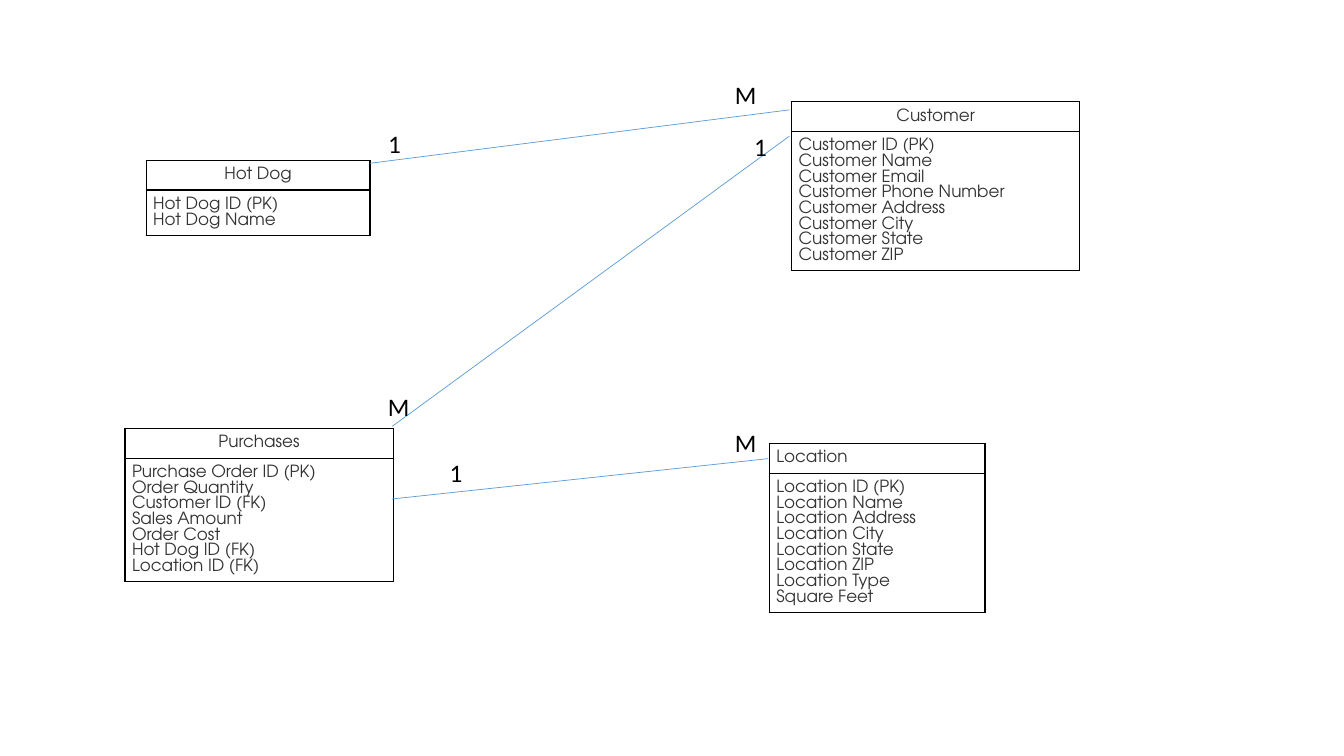
from lxml import etree
from pptx import Presentation
from pptx.dml.color import RGBColor
from pptx.enum.shapes import MSO_CONNECTOR
from pptx.enum.text import MSO_AUTO_SIZE, PP_ALIGN
from pptx.oxml.ns import qn
from pptx.util import Inches, Pt

LINE = MSO_CONNECTOR.STRAIGHT
LEFT, CENTER = PP_ALIGN.LEFT, PP_ALIGN.CENTER
FIT = MSO_AUTO_SIZE.SHAPE_TO_FIT_TEXT
COLORS = {"text": "333333", "mark": "000000", "edge": "000000", "link": "5B9BD5"}
PAD, PITCH = 0.07, 0.155

ENTITIES = [
    (1.45, 1.59, 2.22, "Hot Dog", CENTER, ["Hot Dog ID (PK)", "Hot Dog Name"]),
    (7.85, 1.01, 2.86, "Customer", CENTER, [
        "Customer ID (PK)", "Customer Name", "Customer Email",
        "Customer Phone Number", "Customer Address", "Customer City",
        "Customer State", "Customer ZIP"]),
    (1.24, 4.25, 2.66, "Purchases", CENTER, [
        "Purchase Order ID (PK)", "Order Quantity", "Customer ID (FK)",
        "Sales Amount", "Order Cost", "Hot Dog ID (FK)", "Location ID (FK)"]),
    (7.63, 4.4, 2.14, "Location", LEFT, [
        "Location ID (PK)", "Location Name", "Location Address",
        "Location City", "Location State", "Location ZIP", "Location Type",
        "Square Feet"]),
]
LINKS = [
    (3.67, 1.62, 7.83, 1.09),
    (7.62, 4.55, 3.89, 4.95),
    (3.89, 4.23, 7.83, 1.35),
]
MARKS = [
    (3.75, 1.22, "1"), (7.19, 0.74, "M"), (7.38, 1.25, "1"),
    (3.75, 3.83, "M"), (7.19, 4.19, "M"), (4.36, 4.49, "1"),
]


class Diagram:
    def __init__(self, slide):
        self.slide = slide

    def style(self, par, font, size, color):
        for run in par.runs:
            run.font.name = font
            run.font.size = Pt(size)
            run.font.bold = False
            run.font.color.rgb = RGBColor.from_string(COLORS[color])

    def border(self, cell):
        props = cell._tc.get_or_add_tcPr()
        for spot, side in enumerate(("lnL", "lnR", "lnT", "lnB")):
            line = etree.Element(qn(f"a:{side}"), w=str(Pt(1)))
            fill = etree.SubElement(line, qn("a:solidFill"))
            etree.SubElement(fill, qn("a:srgbClr"), val=COLORS["edge"])
            props.insert(spot, line)

    def entity(self, left, top, width, name, align, fields):
        rows = [([name], align), (fields, LEFT)]
        sizes = [len(lines) * PITCH + 2 * PAD for lines, _ in rows]
        table = self.slide.shapes.add_table(
            2, 1, Inches(left), Inches(top), Inches(width), Inches(sum(sizes))).table
        table.first_row = table.horz_banding = False
        for index, (lines, side) in enumerate(rows):
            table.rows[index].height = Inches(sizes[index])
            cell = table.cell(index, 0)
            cell.margin_left = cell.margin_right = Inches(PAD)
            cell.margin_top = cell.margin_bottom = Inches(PAD)
            cell.fill.background()
            self.border(cell)
            cell.text_frame.text = "\n".join(lines)
            for par in cell.text_frame.paragraphs:
                par.alignment = side
                par.line_spacing = Inches(PITCH)
                self.style(par, "TeX Gyre Adventor", 12, "text")

    def link(self, *ends):
        line = self.slide.shapes.add_connector(LINE, *map(Inches, ends))
        line.line.color.rgb = RGBColor.from_string(COLORS["link"])
        line.line.width = Pt(0.5)
        etree.SubElement(line._element.spPr, qn("a:effectLst"))

    def mark(self, left, top, text):
        width = 0.43 if text == "M" else 0.45
        box = self.slide.shapes.add_textbox(
            Inches(left), Inches(top), Inches(width), Inches(0.4))
        frame = box.text_frame
        frame.word_wrap = True
        frame.auto_size = FIT
        frame.text = text
        self.style(frame.paragraphs[0], "Calibri", 18, "mark")


def main():
    deck = Presentation()
    deck.slide_width, deck.slide_height = Inches(13.33), Inches(7.5)
    diagram = Diagram(deck.slides.add_slide(deck.slide_layouts[6]))
    for entity in ENTITIES:
        diagram.entity(*entity)
    for link in LINKS:
        diagram.link(*link)
    for mark in MARKS:
        diagram.mark(*mark)
    deck.save("out.pptx")


if __name__ == "__main__":
    main()
